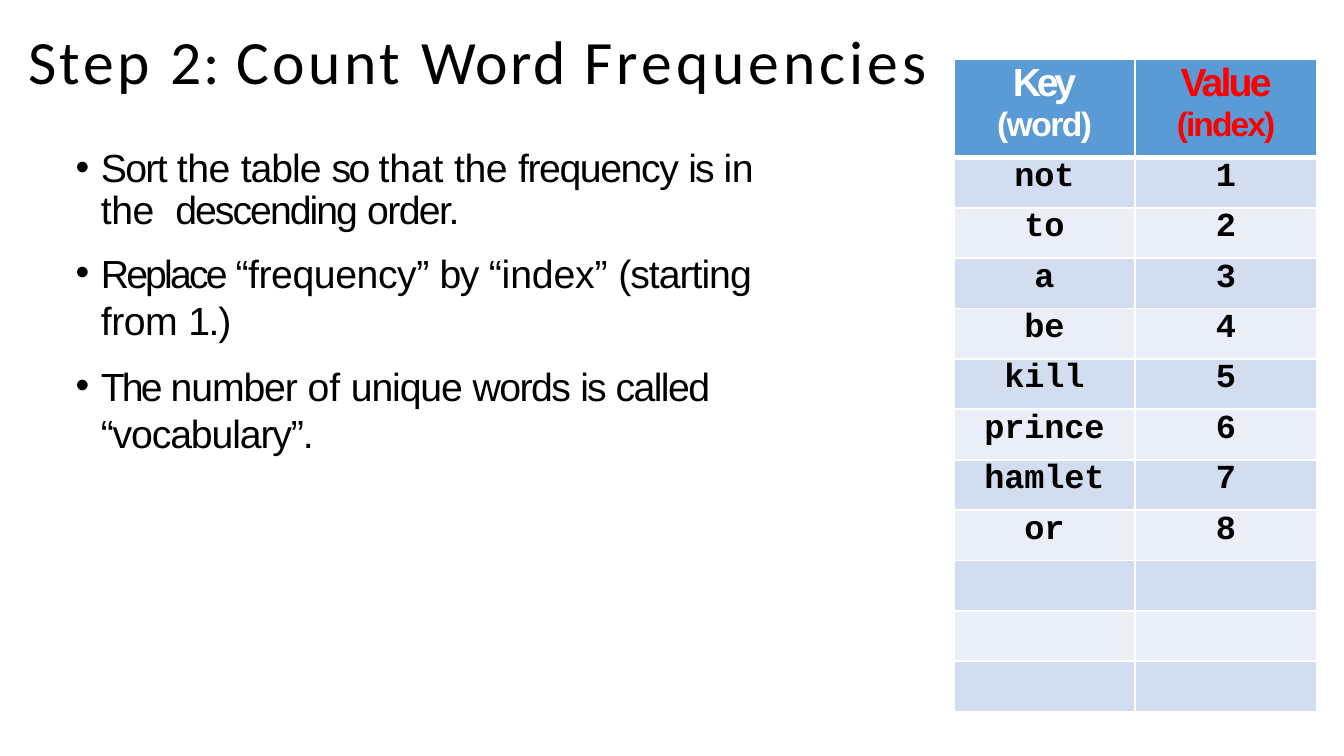
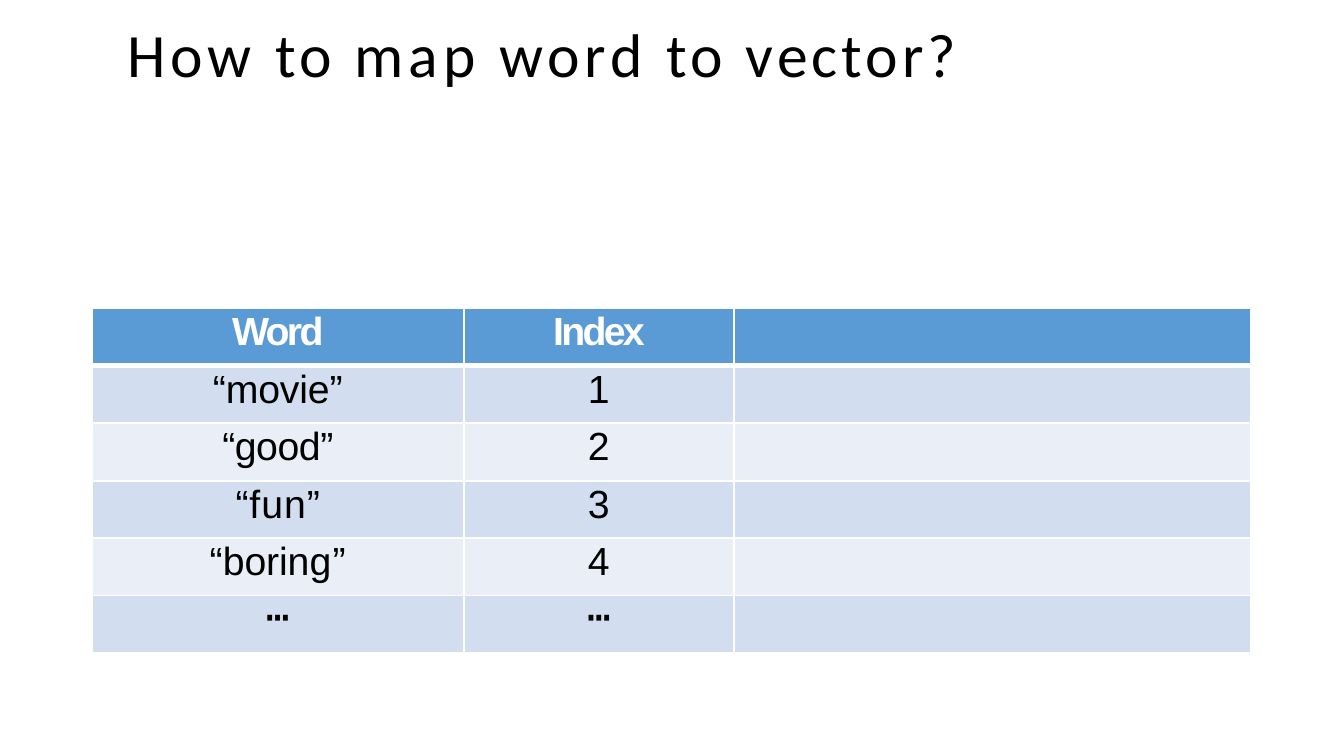
from dataclasses import dataclass, replace
from lxml.etree import SubElement
from pptx import Presentation
from pptx.dml.color import RGBColor
from pptx.enum.text import MSO_ANCHOR, PP_ALIGN
from pptx.oxml.ns import qn
from pptx.util import Inches, Pt

BLACK, WHITE, RED = "000000", "FFFFFF", "FF0000"
HEADER, BANDS = "5B9BD5", ("D2DEEF", "EAEFF7")
THIN, THICK = 1.5, 4.25


def rgb(value):
    return RGBColor.from_string(value)


@dataclass(frozen=True)
class Font:
    name: str = "Arial"
    size: float = 28
    color: str = BLACK
    bold: bool = False


TITLE = Font("Calibri", 44)
BODY = Font()
HEAD = Font(color=WHITE, bold=True)
SUBHEAD = replace(HEAD, size=24)
CODE = Font("Courier New", 24, bold=True)
DOTS = Font("Courier New")


class Deck:
    def __init__(self):
        self.prs = Presentation()
        self.prs.slide_width, self.prs.slide_height = Inches(13.33), Inches(7.5)

    def new_slide(self):
        self.slide = self.prs.slides.add_slide(self.prs.slide_layouts[6])
        bg = self.slide.background.fill
        bg.solid()
        bg.fore_color.rgb = rgb(WHITE)

    def add_runs(self, p, runs, font):
        for text, spacing in runs:
            r = p.add_run()
            r.text = text
            r.font.name, r.font.size, r.font.bold = font.name, Pt(font.size), font.bold
            r.font.color.rgb = rgb(font.color)
            r.font._element.set("spc", str(round(spacing * 100)))

    def text_box(self, x, y, w, h, left, top):
        tf = self.slide.shapes.add_textbox(Inches(x), Inches(y), Inches(w), Inches(h)).text_frame
        tf.word_wrap = True
        tf.margin_left, tf.margin_top = Inches(left), Inches(top)
        tf.margin_right = tf.margin_bottom = 0
        return tf

    def title(self, x, y, w, runs):
        tf = self.text_box(x, y, w, 0.75, 0.01, 0.01)
        tf.vertical_anchor = MSO_ANCHOR.MIDDLE
        self.add_runs(tf.paragraphs[0], runs, TITLE)

    def bullets(self, x, y, w, h, right_indent, items):
        tf = self.text_box(x, y, w, h, 0, 0.07)
        for i, (before, line, runs) in enumerate(items):
            p = tf.add_paragraph() if i else tf.paragraphs[0]
            pPr = p._p.get_or_add_pPr()
            pPr.set("marL", str(Inches(0.26)))
            pPr.set("marR", str(Inches(right_indent)))
            pPr.set("indent", str(Inches(-0.25)))
            SubElement(pPr, qn("a:buFont"), typeface="Arial")
            SubElement(pPr, qn("a:buChar"), char="•")
            if before:
                p.space_before = Pt(before)
            if line:
                p.line_spacing = Pt(line)
            self.add_runs(p, runs, BODY)

    def borders(self, cell, row):
        tcPr = cell._tc.get_or_add_tcPr()
        widths = {"L": THIN, "R": THIN, "T": THICK if row == 1 else THIN,
                  "B": THICK if row == 0 else THIN}
        for side, width in widths.items():
            ln = SubElement(tcPr, qn("a:ln" + side), w=str(Pt(width)))
            SubElement(SubElement(ln, qn("a:solidFill")), qn("a:srgbClr"), val=WHITE)

    def table(self, x, y, cols, heights, rows, body_top):
        shape = self.slide.shapes.add_table(len(heights), len(cols), Inches(x), Inches(y),
                                            Inches(sum(cols)), Inches(sum(heights)))
        tbl = shape.table
        for column, width in zip(tbl.columns, cols):
            column.width = Inches(width)
        for i, (row, height) in enumerate(zip(tbl.rows, heights)):
            row.height = Inches(height)
            for j, cell in enumerate(row.cells):
                self.borders(cell, i)
                cell.fill.solid()
                cell.fill.fore_color.rgb = rgb(BANDS[(i - 1) % 2] if i else HEADER)
                if i < len(rows) and j < len(rows[i]):
                    self.cell_text(cell, rows[i][j], body_top if i else 0.02)

    def cell_text(self, cell, lines, top):
        cell.margin_left = cell.margin_right = cell.margin_bottom = 0
        cell.margin_top = Inches(top)
        for i, (font, runs) in enumerate(lines):
            p = cell.text_frame.add_paragraph() if i else cell.text_frame.paragraphs[0]
            p.alignment = PP_ALIGN.CENTER
            if i:
                p.space_before = Pt(0.4)
            self.add_runs(p, runs, font)


def line(font, text, spacing=0):
    return font, [(text, spacing)]


def count_slide(deck):
    deck.new_slide()
    words = ["not", "to", "a", "be", "kill", "prince", "hamlet", "or"]
    header = [
        [line(HEAD, "Key", -3.1), line(SUBHEAD, "(word)", -1.1)],
        [line(replace(HEAD, color=RED), "Value", -2),
         line(replace(SUBHEAD, color=RED), "(index)", -1.4)],
    ]
    body = [[[line(CODE, word, -0.1)], [line(CODE, str(n))]] for n, word in enumerate(words, 1)]
    deck.table(9.46, 0.59, [1.8, 1.8], [0.97] + [0.5] * 11, [header] + body, 0.01)
    deck.title(0.27, 0.21, 9.13, [("Step ", 2.4), ("2: ", 1), ("Count ", 2.5),
                                  ("Word ", 1.6), ("Frequencies", 2.9)])
    deck.bullets(0.74, 1.4, 8.41, 2.2, 1.4, [
        (0, 30, [("Sort ", -1.2), ("the ", -0.3), ("table ", -0.7), ("so ", -1.9),
                 ("that ", -0.1), ("the ", -0.3), ("frequency ", -1), ("is ", -1.4),
                 ("in ", -0.4), ("the", -0.3), (" ", 7.2), ("descending ", -1.4),
                 ("order.", -1.1)]),
        (12, None, [("Replace ", -2), ("“frequency” ", -0.3), ("by ", -1.1),
                    ("“index” ", -0.1), ("(starting ", -0.7), ("from ", -0.3), ("1.)", -0.9)]),
        (13.4, None, [("The ", -2), ("number ", -0.8), ("of ", -0.1), ("unique ", -0.8),
                      ("words ", -1.1), ("is ", -1.4), ("called ", -1.1),
                      ("“vocabulary”.", -0.8)]),
    ])


def vector_slide(deck):
    deck.new_slide()
    deck.title(1.25, 0.14, 9.02, [("How ", 3.5), ("to ", 3.1), ("map ", 3.4),
                                  ("word ", 3.5), ("to ", 3.1), ("vector?", 2.9)])
    header = [[line(HEAD, text, -1.9)] for text in ("Word", "Index")]
    words = [
        [("“", 0), ("movie", -0.1), ("”", 0)],
        [("“good”", -0.3)],
        [("“fun”", 0.7)],
        [("“b", 0), ("ori", -0.1), ("n", 0), ("g", 1), ("”", 0)],
    ]
    body = [[[(BODY, runs)], [line(BODY, str(n))]] for n, runs in enumerate(words, 1)]
    dots = [[line(DOTS, "⋯")]] * 2
    deck.table(0.91, 3.06, [3.69, 2.68, 5.13], [0.57] * 6, [header, *body, dots], 0.02)


def main():
    deck = Deck()
    count_slide(deck)
    vector_slide(deck)
    deck.prs.save("out.pptx")


if __name__ == "__main__":
    main()
